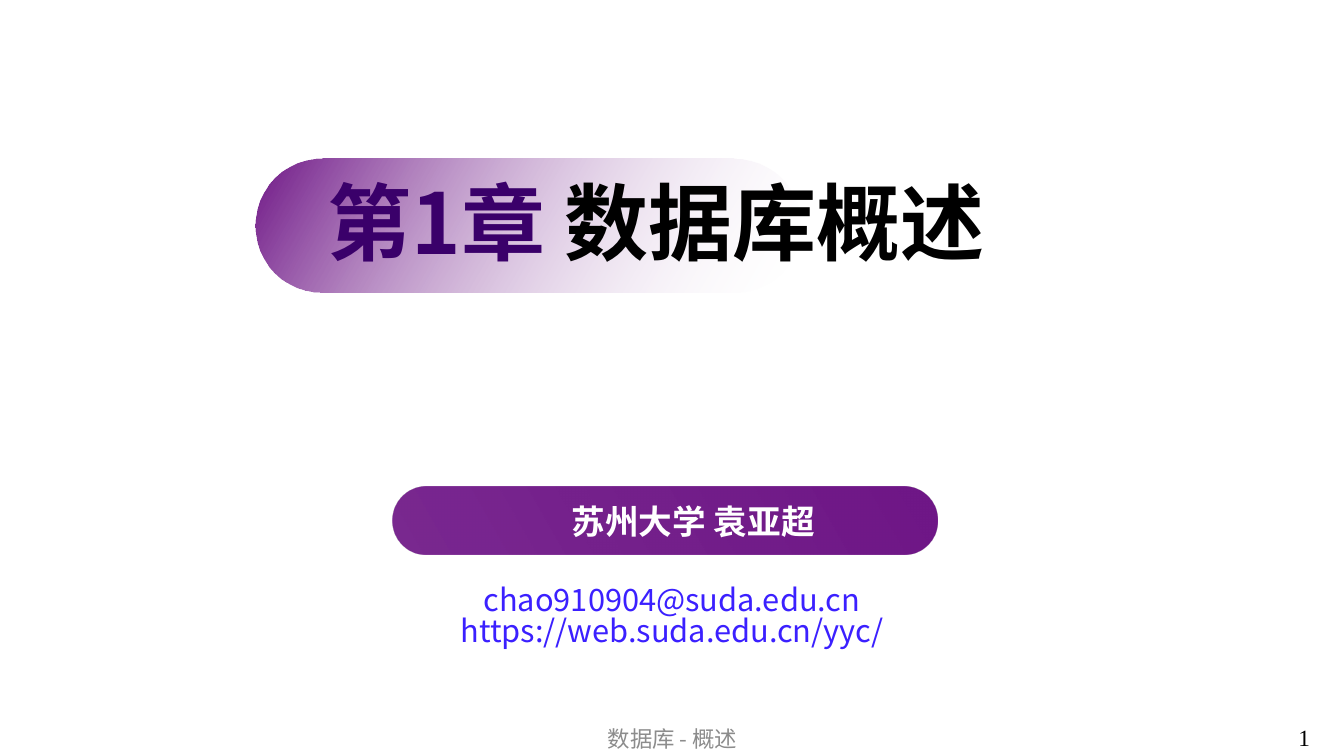
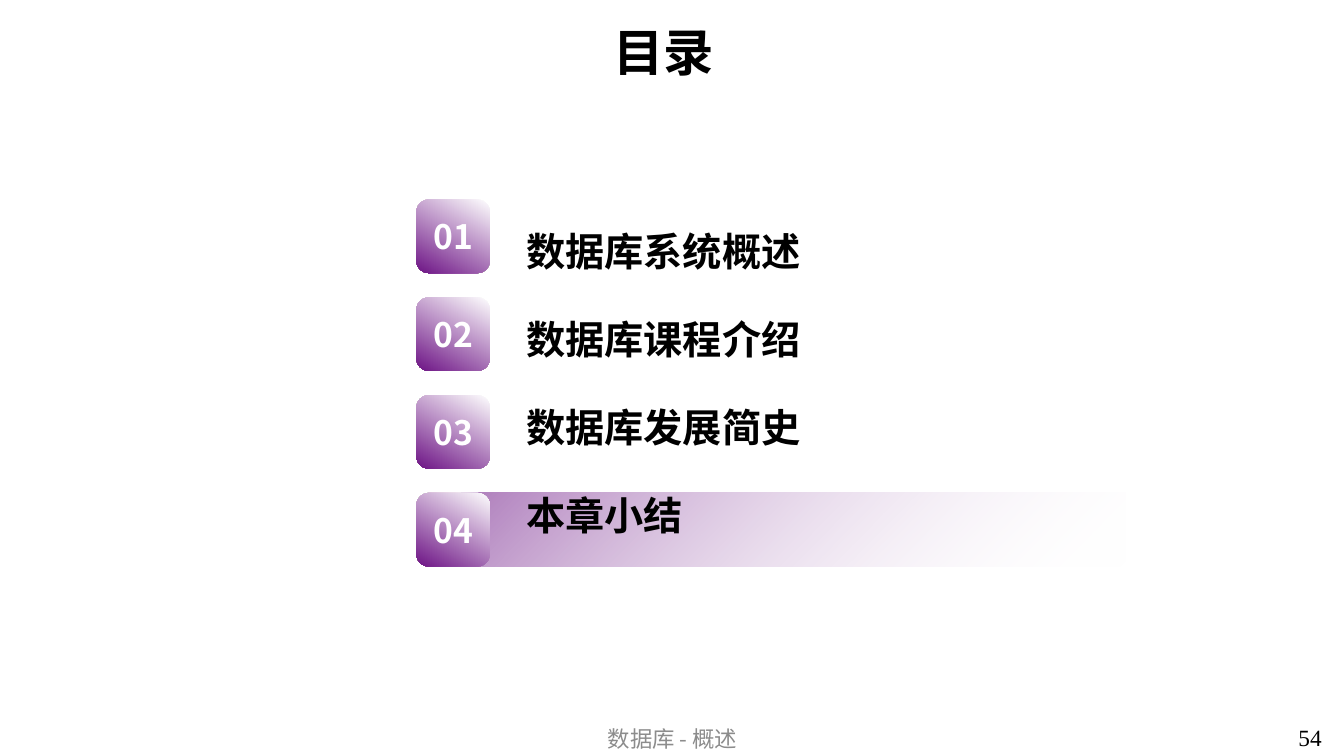
"""Build the opening slide and the contents slide of a database course."""
from dataclasses import dataclass

from lxml import etree
from pptx import Presentation
from pptx.dml.color import RGBColor
from pptx.enum.shapes import MSO_SHAPE
from pptx.enum.text import MSO_ANCHOR, MSO_AUTO_SIZE, PP_ALIGN
from pptx.oxml import parse_xml
from pptx.oxml.ns import nsdecls, qn
from pptx.presentation import Presentation as Deck
from pptx.shapes.autoshape import Shape
from pptx.slide import Slide
from pptx.text.text import TextFrame
from pptx.util import Emu, Pt

LEFT, CENTER = PP_ALIGN.LEFT, PP_ALIGN.CENTER
MIDDLE = MSO_ANCHOR.MIDDLE
FIXED = MSO_AUTO_SIZE.NONE
ROUNDED = MSO_SHAPE.ROUNDED_RECTANGLE
EMU_PER_PX = 9144
PT_PER_PX = 0.72
LINE_HEIGHT = 1.448


@dataclass(frozen=True)
class Theme:
    """Colours, fonts and type sizes of the deck."""

    purple: str = "6F1787"
    deep_purple: str = "3A006A"
    link_blue: str = "3B20FF"
    footer_gray: str = "8C8C8C"
    white: str = "FFFFFF"
    black: str = "000000"
    sans: str = "Noto Sans CJK SC"
    serif: str = "Times New Roman"
    chapter_size: float = 60
    title_size: float = 36
    topic_size: float = 28
    label_size: float = 24
    contact_size: float = 22
    footer_size: float = 16
    number_size: float = 16.6


@dataclass(frozen=True)
class Box:
    """A rectangle in px."""

    left: int
    top: int
    width: int
    height: int

    def emu(self) -> tuple[Emu, Emu, Emu, Emu]:
        """Return the rectangle in EMU."""
        return px(self.left), px(self.top), px(self.width), px(self.height)


@dataclass(frozen=True)
class Stop:
    """A gradient stop, with position and opacity in percent."""

    position: int
    color: str
    opacity: int = 100


@dataclass(frozen=True)
class Span:
    """A piece of a paragraph, with its own colour if given."""

    text: str
    color: str | None = None


THEME = Theme()
FOOTER = Box(442, 716, 450, 34)
PAGE_NUMBER = Box(1278, 713, 55, 37)
BADGE = Box(413, 198, 73, 73)
BADGE_PITCH = 97
TOPICS = ("数据库系统概述", "数据库课程介绍", "数据库发展简史", "本章小结")
CURRENT_TOPIC = 3


def px(length: int) -> Emu:
    """Convert px to EMU."""
    return Emu(length * EMU_PER_PX)


def write_text(frame: TextFrame, *paragraphs: str | tuple[Span, ...], size: float,
               color: str = THEME.black, font: str = THEME.sans, bold: bool = False,
               align: PP_ALIGN = LEFT, gap: float = 0, spacing: float = 1,
               wrap: bool = True) -> None:
    """Fill a text frame with formatted, vertically centred paragraphs."""
    frame.auto_size = FIXED
    frame.word_wrap = wrap
    frame.vertical_anchor = MIDDLE
    for index, content in enumerate(paragraphs):
        paragraph = frame.add_paragraph() if index else frame.paragraphs[0]
        properties = paragraph._p.get_or_add_pPr()
        properties.set("marL", "0")
        properties.set("indent", "0")
        etree.SubElement(properties, qn("a:buNone"))
        paragraph.alignment = align
        paragraph.space_before = Pt(gap if index else 0)
        paragraph.line_spacing = spacing
        spans = (Span(content),) if isinstance(content, str) else content
        for span in spans:
            run = paragraph.add_run()
            run.text = span.text
            run.font.size = Pt(size)
            run.font.bold = bold
            run.font.color.rgb = RGBColor.from_string(span.color or color)
            run.font.name = font
            east_asian = etree.SubElement(run._r.get_or_add_rPr(), qn("a:ea"))
            east_asian.set("typeface", font)


def fill_gradient(shape: Shape, stops: tuple[Stop, ...], angle: int) -> None:
    """Give a shape a linear gradient, with no line and no shadow."""
    shape.shadow.inherit = False
    shape.line.fill.background()
    shape.fill.background()
    marks = "".join(
        f'<a:gs pos="{stop.position * 1000}"><a:srgbClr val="{stop.color}">'
        f'<a:alpha val="{stop.opacity * 1000}"/></a:srgbClr></a:gs>'
        for stop in stops)
    gradient = parse_xml(
        f'<a:gradFill {nsdecls("a")} rotWithShape="1"><a:gsLst>{marks}</a:gsLst>'
        f'<a:lin ang="{angle * 60000}" scaled="0"/></a:gradFill>')
    properties = shape._element.spPr
    properties.replace(properties.find(qn("a:noFill")), gradient)


def add_rounded(slide: Slide, box: Box, stops: tuple[Stop, ...], angle: int,
                rounding: float) -> Shape:
    """Add a rounded rectangle with a gradient."""
    shape = slide.shapes.add_shape(ROUNDED, *box.emu())
    shape.adjustments[0] = rounding
    fill_gradient(shape, stops, angle)
    return shape


def send_to_back(slide: Slide, shape: Shape) -> None:
    """Move a shape behind everything else on its slide."""
    slide.shapes._spTree.insert(2, shape._element)


def place(shape: Shape, box: Box) -> TextFrame:
    """Move a placeholder and return its text frame."""
    shape.left, shape.top, shape.width, shape.height = box.emu()
    return shape.text_frame


def add_footer(slide: Slide, number: str) -> None:
    """Add the course name and the page number."""
    course = slide.shapes.add_textbox(*FOOTER.emu())
    write_text(course.text_frame, "数据库 - 概述", size=THEME.footer_size,
               color=THEME.footer_gray, align=CENTER)
    page = slide.shapes.add_textbox(*PAGE_NUMBER.emu())
    write_text(page.text_frame, number, size=THEME.number_size, font=THEME.serif,
               wrap=False)


def build_opening(deck: Deck) -> None:
    """Build the chapter opening slide."""
    slide = deck.slides.add_slide(deck.slide_layouts[0])
    chapter_pill = add_rounded(
        slide, Box(253, 157, 541, 133),
        (Stop(0, THEME.purple), Stop(100, THEME.white, 0)), angle=30, rounding=0.5)
    send_to_back(slide, chapter_pill)
    write_text(place(slide.shapes.title, Box(315, 164, 730, 111)),
               (Span("第1章 ", THEME.deep_purple), Span("数据库概述")),
               size=THEME.chapter_size, bold=True)
    author_pill = add_rounded(
        slide, Box(389, 483, 541, 67),
        (Stop(0, THEME.purple), Stop(99, THEME.purple, 92)), angle=150, rounding=0.5)
    author_pill.text_frame.margin_left = px(85)
    author_pill.text_frame.margin_right = px(29)
    write_text(author_pill.text_frame, "苏州大学 袁亚超", size=THEME.label_size,
               color=THEME.white, bold=True, align=CENTER)
    write_text(place(slide.placeholders[1], Box(337, 568, 659, 90)),
               "chao910904@suda.edu.cn", "https://web.suda.edu.cn/yyc/",
               size=THEME.contact_size, color=THEME.link_blue, align=CENTER,
               spacing=0.83)
    add_footer(slide, "1")


def add_highlight(slide: Slide, top: int) -> None:
    """Add the fading band behind the current topic."""
    bottom = top + BADGE.height
    outline = slide.shapes.build_freeform(px(1116), px(bottom))
    outline.add_line_segments(
        [(px(425), px(bottom)), (px(457), px(top)), (px(1116), px(top))], close=True)
    band = outline.convert_to_shape()
    fill_gradient(band, (Stop(0, THEME.purple, 62), Stop(100, THEME.white, 0)), angle=45)
    send_to_back(slide, band)


def build_contents(deck: Deck) -> None:
    """Build the contents slide with the current topic highlighted."""
    slide = deck.slides.add_slide(deck.slide_layouts[1])
    write_text(place(slide.shapes.title, Box(106, 14, 1104, 74)), "目录",
               size=THEME.title_size, bold=True, align=CENTER)
    list_height = BADGE.height + BADGE_PITCH * (len(TOPICS) - 1)
    topic_gap = BADGE_PITCH * PT_PER_PX - THEME.topic_size * LINE_HEIGHT
    write_text(place(slide.placeholders[1], Box(512, BADGE.top, 408, list_height)),
               *TOPICS, size=THEME.topic_size, bold=True, gap=topic_gap)
    add_highlight(slide, BADGE.top + BADGE_PITCH * CURRENT_TOPIC)
    for index in range(len(TOPICS)):
        badge_box = Box(BADGE.left, BADGE.top + BADGE_PITCH * index,
                        BADGE.width, BADGE.height)
        badge = add_rounded(slide, badge_box,
                            (Stop(0, THEME.white), Stop(99, THEME.purple)),
                            angle=120, rounding=0.17)
        write_text(badge.text_frame, f"{index + 1:02d}", size=THEME.label_size,
                   color=THEME.white, bold=True, align=CENTER, wrap=False)
    add_footer(slide, "54")


def main() -> None:
    """Build and save the deck."""
    deck = Presentation()
    deck.slide_width, deck.slide_height = px(1333), px(750)
    build_opening(deck)
    build_contents(deck)
    deck.save("out.pptx")


if __name__ == "__main__":
    main()
